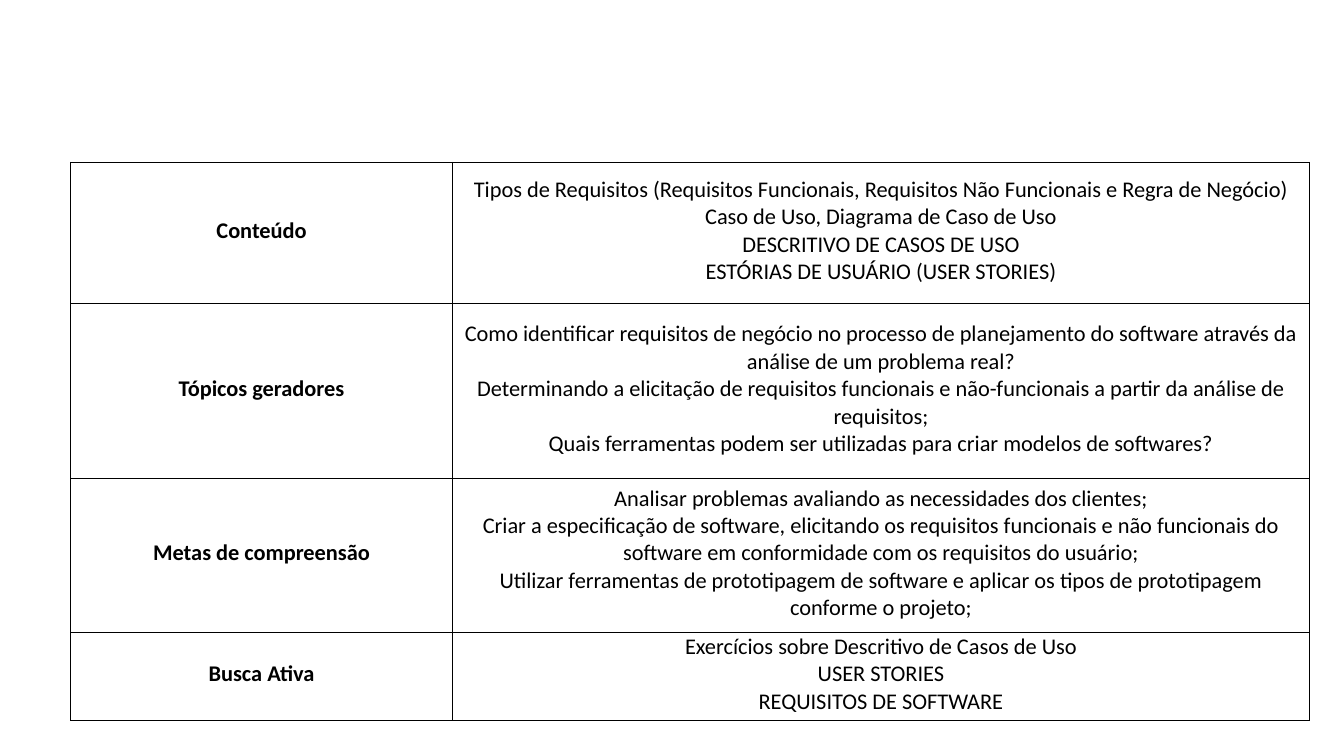
from dataclasses import dataclass

from pptx import Presentation
from pptx.dml.color import RGBColor
from pptx.enum.text import MSO_VERTICAL_ANCHOR as Anchor, PP_PARAGRAPH_ALIGNMENT as Align
from pptx.oxml import parse_xml
from pptx.oxml.ns import nsdecls
from pptx.util import Pt


@dataclass(frozen=True)
class Theme:
    font: str = "Calibri"
    size: float = 16
    ink: str = "000000"
    border: float = 0.5


THEME = Theme()

# Table geometry
TABLE_LEFT, TABLE_TOP = 50.4, 115.9
COLUMN_WIDTHS = [272.9, 612]
ROW_HEIGHTS = [100.8, 125.3, 109.4, 62.9]
CELL_FORMAT = {
    "margin_left": Pt(0.7),
    "margin_top": Pt(0.7),
    "margin_right": Pt(0.7),
    "margin_bottom": Pt(3.6),
    "vertical_anchor": Anchor.MIDDLE,
}

# Lesson plan: heading and its lines
LESSON_PLAN = [
    ("Conteúdo", [
        "Tipos de Requisitos (Requisitos Funcionais, Requisitos Não Funcionais e Regra de Negócio)",
        "Caso de Uso, Diagrama de Caso de Uso",
        "DESCRITIVO DE CASOS DE USO",
        "ESTÓRIAS DE USUÁRIO (USER STORIES)",
    ]),
    ("Tópicos geradores", [
        "Como identificar requisitos de negócio no processo de planejamento do software "
        "através da análise de um problema real?",
        "Determinando a elicitação de requisitos funcionais e não-funcionais a partir da "
        "análise de requisitos;",
        "Quais ferramentas podem ser utilizadas para criar modelos de softwares?",
    ]),
    ("Metas de compreensão", [
        "Analisar problemas avaliando as necessidades dos clientes;",
        "Criar a especificação de software, elicitando os requisitos funcionais e não "
        "funcionais do software em conformidade com os requisitos do usuário;",
        "Utilizar ferramentas de prototipagem de software e aplicar os tipos de "
        "prototipagem conforme o projeto;",
    ]),
    ("Busca Ativa", [
        "Exercícios sobre Descritivo de Casos de Uso",
        "USER STORIES",
        "REQUISITOS DE SOFTWARE",
    ]),
]


def set_format(target, values):
    for name, value in values.items():
        setattr(target, name, value)


def add_borders(cell):
    properties = cell._tc.get_or_add_tcPr()
    for position, side in enumerate(("lnL", "lnR", "lnT", "lnB")):
        border = parse_xml(
            f'<a:{side} {nsdecls("a")} w="{Pt(THEME.border)}"><a:solidFill>'
            f'<a:srgbClr val="{THEME.ink}"/></a:solidFill></a:{side}>'
        )
        properties.insert(position, border)


def fill_cell(cell, lines, bold):
    set_format(cell, CELL_FORMAT)
    cell.fill.background()
    add_borders(cell)
    cell.text = "\n".join(lines)
    font_format = {"name": THEME.font, "size": Pt(THEME.size), "bold": bold}
    for paragraph in cell.text_frame.paragraphs:
        paragraph.alignment = Align.CENTER
        for run in paragraph.runs:
            set_format(run.font, font_format)
            run.font.color.rgb = RGBColor.from_string(THEME.ink)


def add_plan_table(slide):
    table = slide.shapes.add_table(
        len(ROW_HEIGHTS), len(COLUMN_WIDTHS), Pt(TABLE_LEFT), Pt(TABLE_TOP),
        Pt(sum(COLUMN_WIDTHS)), Pt(sum(ROW_HEIGHTS)),
    ).table
    set_format(table, {"first_row": False, "horz_banding": False})
    for column, width in zip(table.columns, COLUMN_WIDTHS):
        column.width = Pt(width)
    for row, height, (heading, lines) in zip(table.rows, ROW_HEIGHTS, LESSON_PLAN):
        row.height = Pt(height)
        fill_cell(row.cells[0], [heading], bold=True)
        fill_cell(row.cells[1], lines, bold=False)


def main():
    presentation = Presentation()
    set_format(presentation, {"slide_width": Pt(960), "slide_height": Pt(540)})
    slide = presentation.slides.add_slide(presentation.slide_layouts[6])
    add_plan_table(slide)
    presentation.save("out.pptx")


if __name__ == "__main__":
    main()
